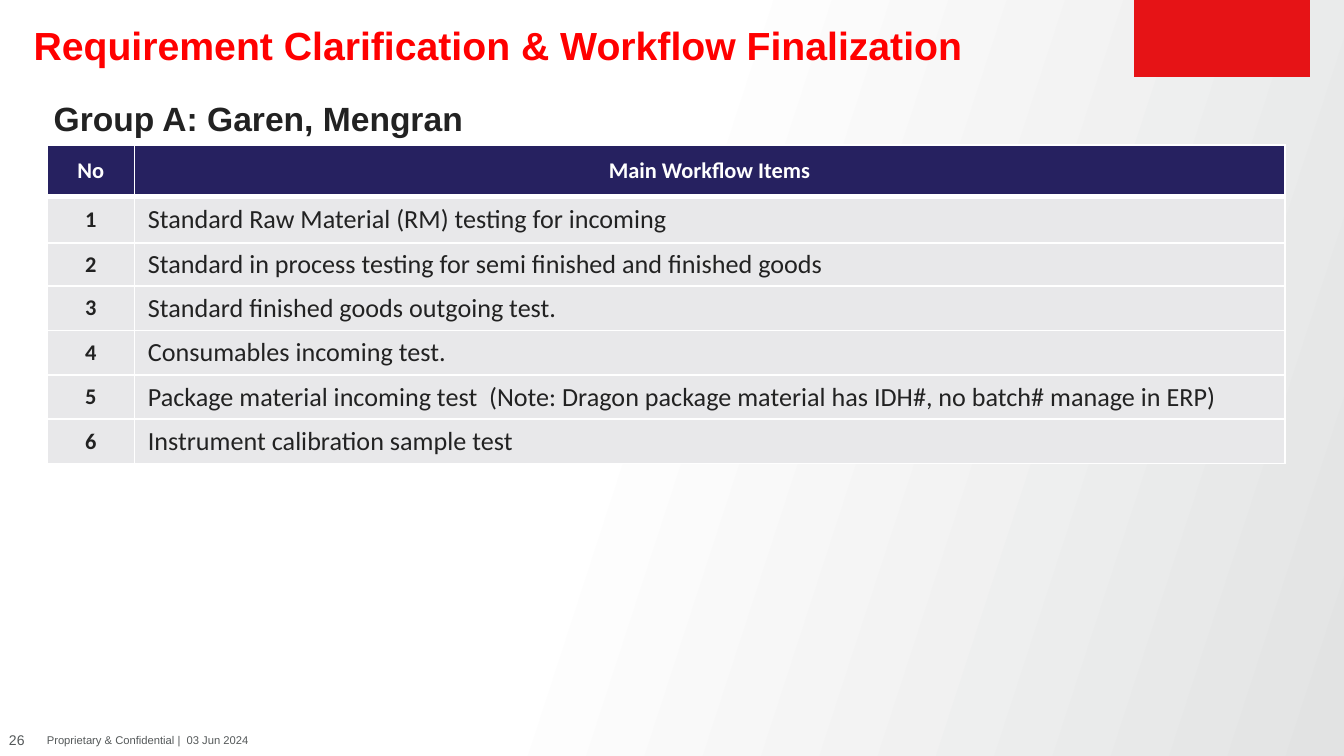
from dataclasses import dataclass

from lxml import etree
from pptx import Presentation
from pptx.dml.color import RGBColor
from pptx.enum.shapes import MSO_SHAPE
from pptx.enum.text import MSO_ANCHOR, PP_ALIGN
from pptx.oxml.ns import qn
from pptx.slide import Slide
from pptx.table import _Cell
from pptx.text.text import TextFrame
from pptx.util import Emu, Inches, Pt

TOP, MIDDLE = MSO_ANCHOR.TOP, MSO_ANCHOR.MIDDLE
LEFT, CENTER = PP_ALIGN.LEFT, PP_ALIGN.CENTER
PARALLELOGRAM = MSO_SHAPE.PARALLELOGRAM

WIDTH = Inches(10)
HEIGHT = Emu(WIDTH * 9 // 16)
GRID_STEP = WIDTH // 100

WHITE, SILVER, RED, BANNER_RED = "FFFFFF", "E2E3E3", "FF0000", "E61316"
INK, GREY, NAVY, ROW_GREY = "222222", "545859", "262160", "E8E8EA"

COLUMN_WIDTHS = (6.5, 85.6)
ROW_HEIGHTS = (3.8, 3.5, 3.2, 3.3, 3.3, 3.3, 3.3)
HEADERS = ("No", "Main Workflow Items")
WORKFLOW_ITEMS = (
    "Standard Raw Material (RM) testing for incoming",
    "Standard in process testing for semi finished and finished goods",
    "Standard finished goods outgoing test.",
    "Consumables incoming test.",
    "Package material incoming test  (Note: Dragon package material has IDH#, no batch# manage in ERP)",
    "Instrument calibration sample test",
)


def grid(steps: float) -> Emu:
    return Emu(round(steps * GRID_STEP))


def rgb(color: str) -> RGBColor:
    return RGBColor.from_string(color)


@dataclass(frozen=True)
class Area:
    left: float
    top: float
    width: float
    height: float

    def lengths(self) -> tuple[Emu, Emu, Emu, Emu]:
        return grid(self.left), grid(self.top), grid(self.width), grid(self.height)


@dataclass(frozen=True)
class Style:
    size: float
    color: str
    bold: bool = False
    font: str = "Arial"
    align: PP_ALIGN = LEFT


@dataclass(frozen=True)
class Label:
    text: str
    area: Area
    style: Style
    anchor: MSO_ANCHOR = TOP
    line_spacing: float = 1.0
    side_inset: float = 0
    wrap: bool = True


HEADER_STYLE = Style(12, WHITE, True, "Calibri", CENTER)
NUMBER_STYLE = Style(12, INK, True, "Calibri", CENTER)
ITEM_STYLE = Style(14, INK, False, "Calibri")

TABLE_AREA = Area(3.5, 10.8, sum(COLUMN_WIDTHS), sum(ROW_HEIGHTS))
BANNER_AREA = Area(84.4, 0, 13.1, 5.7)

LABELS = (
    Label("Requirement Clarification & Workflow Finalization",
          Area(2.5, 2, 80, 4.7), Style(21, RED, True), line_spacing=0.9),
    Label("Group A: Garen, Mengran",
          Area(4, 6.7, 91.6, 4.7), Style(18, INK, True), line_spacing=1.2, wrap=False),
    Label("26", Area(0, 53.8, 2.5, 2.5), Style(7.5, GREY, align=CENTER), MIDDLE),
    Label("Proprietary & Confidential |  03 Jun 2024",
          Area(2.5, 53.8, 47.5, 2.5), Style(6, GREY), MIDDLE, side_inset=1),
)


def write_text(text_frame: TextFrame, text: str, style: Style, line_spacing: float = 1.0) -> None:
    text_frame.text = text
    paragraph = text_frame.paragraphs[0]
    paragraph.alignment = style.align
    paragraph.line_spacing = line_spacing
    for run in paragraph.runs:
        run.font.name = style.font
        run.font.size = Pt(style.size)
        run.font.bold = style.bold
        run.font.color.rgb = rgb(style.color)


def paint_background(slide: Slide) -> None:
    fill = slide.background.fill
    fill.gradient()
    fill.gradient_angle = 342
    for stop, position, color in zip(fill.gradient_stops, (0.45, 1), (WHITE, SILVER)):
        stop.position = position
        stop.color.rgb = rgb(color)


def draw_banner(slide: Slide) -> None:
    shape = slide.shapes.add_shape(PARALLELOGRAM, *BANNER_AREA.lengths())
    shape.adjustments[0] = 0
    shape.shadow.inherit = False
    shape.fill.solid()
    shape.fill.fore_color.rgb = rgb(BANNER_RED)
    shape.line.fill.background()


def draw_label(slide: Slide, label: Label) -> None:
    text_frame = slide.shapes.add_textbox(*label.area.lengths()).text_frame
    text_frame.word_wrap = label.wrap
    text_frame.vertical_anchor = label.anchor
    text_frame.margin_left = text_frame.margin_right = grid(label.side_inset)
    text_frame.margin_top = text_frame.margin_bottom = 0
    write_text(text_frame, label.text, label.style, label.line_spacing)


def set_borders(cell: _Cell, top: float, bottom: float) -> None:
    properties = cell._tc.get_or_add_tcPr()
    widths = {"a:lnL": 1, "a:lnR": 1, "a:lnT": top, "a:lnB": bottom}
    for index, (tag, width) in enumerate(widths.items()):
        line = etree.Element(qn(tag), w=str(Pt(width)))
        solid_fill = etree.SubElement(line, qn("a:solidFill"))
        etree.SubElement(solid_fill, qn("a:srgbClr"), val=WHITE)
        properties.insert(index, line)


def draw_cell(cell: _Cell, text: str, style: Style, fill: str, top: float, bottom: float) -> None:
    cell.fill.solid()
    cell.fill.fore_color.rgb = rgb(fill)
    cell.vertical_anchor = MIDDLE
    cell.margin_left = cell.margin_right = grid(1)
    cell.margin_top = cell.margin_bottom = grid(0.4)
    write_text(cell.text_frame, text, style)
    set_borders(cell, top, bottom)


def draw_table(slide: Slide) -> None:
    table = slide.shapes.add_table(
        len(ROW_HEIGHTS), len(COLUMN_WIDTHS), *TABLE_AREA.lengths()
    ).table
    for column, width in zip(table.columns, COLUMN_WIDTHS):
        column.width = grid(width)
    for row, height in zip(table.rows, ROW_HEIGHTS):
        row.height = grid(height)
    for index, header in enumerate(HEADERS):
        draw_cell(table.cell(0, index), header, HEADER_STYLE, NAVY, 1, 3)
    for number, item in enumerate(WORKFLOW_ITEMS, start=1):
        top = 3 if number == 1 else 1
        draw_cell(table.cell(number, 0), str(number), NUMBER_STYLE, ROW_GREY, top, 1)
        draw_cell(table.cell(number, 1), item, ITEM_STYLE, ROW_GREY, top, 1)


def main() -> None:
    presentation = Presentation()
    presentation.slide_width, presentation.slide_height = WIDTH, HEIGHT
    slide = presentation.slides.add_slide(presentation.slide_layouts[6])
    paint_background(slide)
    draw_banner(slide)
    draw_table(slide)
    for label in LABELS:
        draw_label(slide, label)
    presentation.save("out.pptx")


if __name__ == "__main__":
    main()
